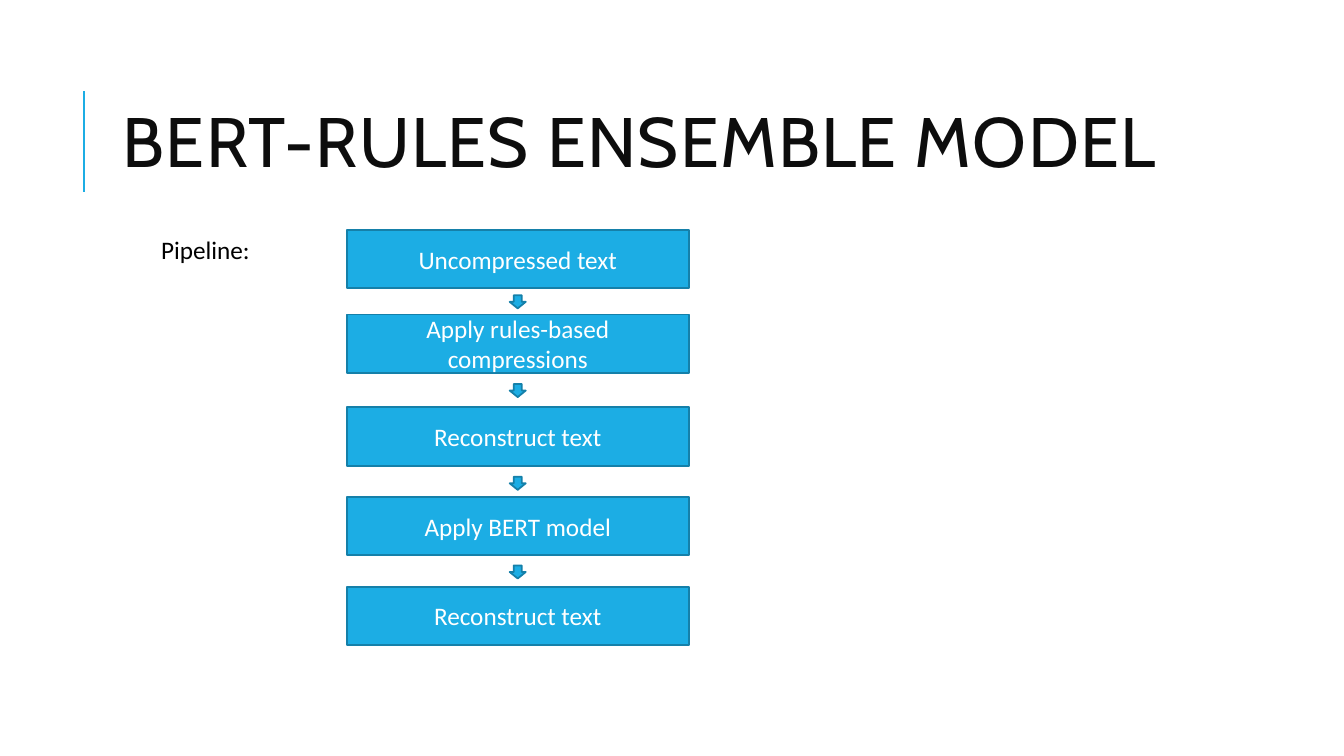
from pptx import Presentation
from pptx.dml.color import RGBColor
from pptx.enum.shapes import MSO_CONNECTOR, MSO_SHAPE
from pptx.enum.text import MSO_ANCHOR, PP_ALIGN
from pptx.util import Inches, Pt
from lxml import etree

RECTANGLE = MSO_SHAPE.RECTANGLE
DOWN_ARROW = MSO_SHAPE.DOWN_ARROW
STRAIGHT = MSO_CONNECTOR.STRAIGHT
MIDDLE = MSO_ANCHOR.MIDDLE
TOP = MSO_ANCHOR.TOP
CENTER = PP_ALIGN.CENTER
LEFT = PP_ALIGN.LEFT

DRAWING = "{http://schemas.openxmlformats.org/drawingml/2006/main}"
BLUE = "1CADE4"
DARK_BLUE = "1580A9"
WHITE = "FFFFFF"
BLACK = "000000"
NEAR_BLACK = "0D0D0D"

STEP_LEFT, STEP_WIDTH, STEP_HEIGHT = 3.44, 3.39, 0.58
ARROW_WIDTH, ARROW_HEIGHT = 0.16, 0.13
STEPS = [
    ("Uncompressed text", 2.28),
    ("Apply rules-based compressions", 3.12),
    ("Reconstruct text", 4.04),
    ("Apply BERT model", 4.93),
    ("Reconstruct text", 5.82),
]
ARROW_TOPS = [2.93, 3.81, 4.73, 5.61]


def color(value):
    return RGBColor.from_string(value)


def write_text(shape, text, size, font_name, font_color, align, anchor):
    frame = shape.text_frame
    frame.word_wrap = True
    frame.vertical_anchor = anchor
    para = frame.paragraphs[0]
    para.text = text
    para.alignment = align
    para.font.size = Pt(size)
    para.font.name = font_name
    para.font.color.rgb = color(font_color)
    return para


def add_text(page, bounds, text, size, font_name, font_color, anchor=TOP):
    box = page.shapes.add_textbox(*map(Inches, bounds))
    return write_text(box, text, size, font_name, font_color, LEFT, anchor)


def add_blue_shape(page, kind, bounds):
    shape = page.shapes.add_shape(kind, *map(Inches, bounds))
    shape.shadow.inherit = False
    shape.fill.solid()
    shape.fill.fore_color.rgb = color(BLUE)
    shape.line.color.rgb = color(DARK_BLUE)
    shape.line.width = Pt(1.25)
    return shape


def add_title(page, text):
    para = add_text(page, (1.12, 0.64, 10.63, 1.64), text, 50, "Cabin", NEAR_BLACK, MIDDLE)
    para.line_spacing = 0.8
    para.runs[0].font._element.set("spc", "100")


def add_accent_line(page):
    line = page.shapes.add_connector(
        STRAIGHT, Inches(0.83), Inches(1.9), Inches(0.83), Inches(0.9))
    line.line.color.rgb = color(BLUE)
    line.line.width = Pt(1.5)
    etree.SubElement(line._element.spPr, DRAWING + "effectLst")


def add_step(page, text, top):
    step = add_blue_shape(page, RECTANGLE, (STEP_LEFT, top, STEP_WIDTH, STEP_HEIGHT))
    write_text(step, text, 18, "Calibri", WHITE, CENTER, MIDDLE)


def add_arrow(page, top):
    left = STEP_LEFT + (STEP_WIDTH - ARROW_WIDTH) / 2
    add_blue_shape(page, DOWN_ARROW, (left, top, ARROW_WIDTH, ARROW_HEIGHT))


def main():
    deck = Presentation()
    deck.slide_width = Inches(13.33)
    deck.slide_height = Inches(7.5)
    page = deck.slides.add_slide(deck.slide_layouts[6])

    add_accent_line(page)
    add_title(page, "BERT-RULES ENSEMBLE MODEL")
    for text, top in STEPS:
        add_step(page, text, top)
    for top in ARROW_TOPS:
        add_arrow(page, top)
    add_text(page, (1.5, 2.28, 3.57, 0.4), "Pipeline:", 18, "Calibri", BLACK)

    deck.save("out.pptx")


if __name__ == "__main__":
    main()
